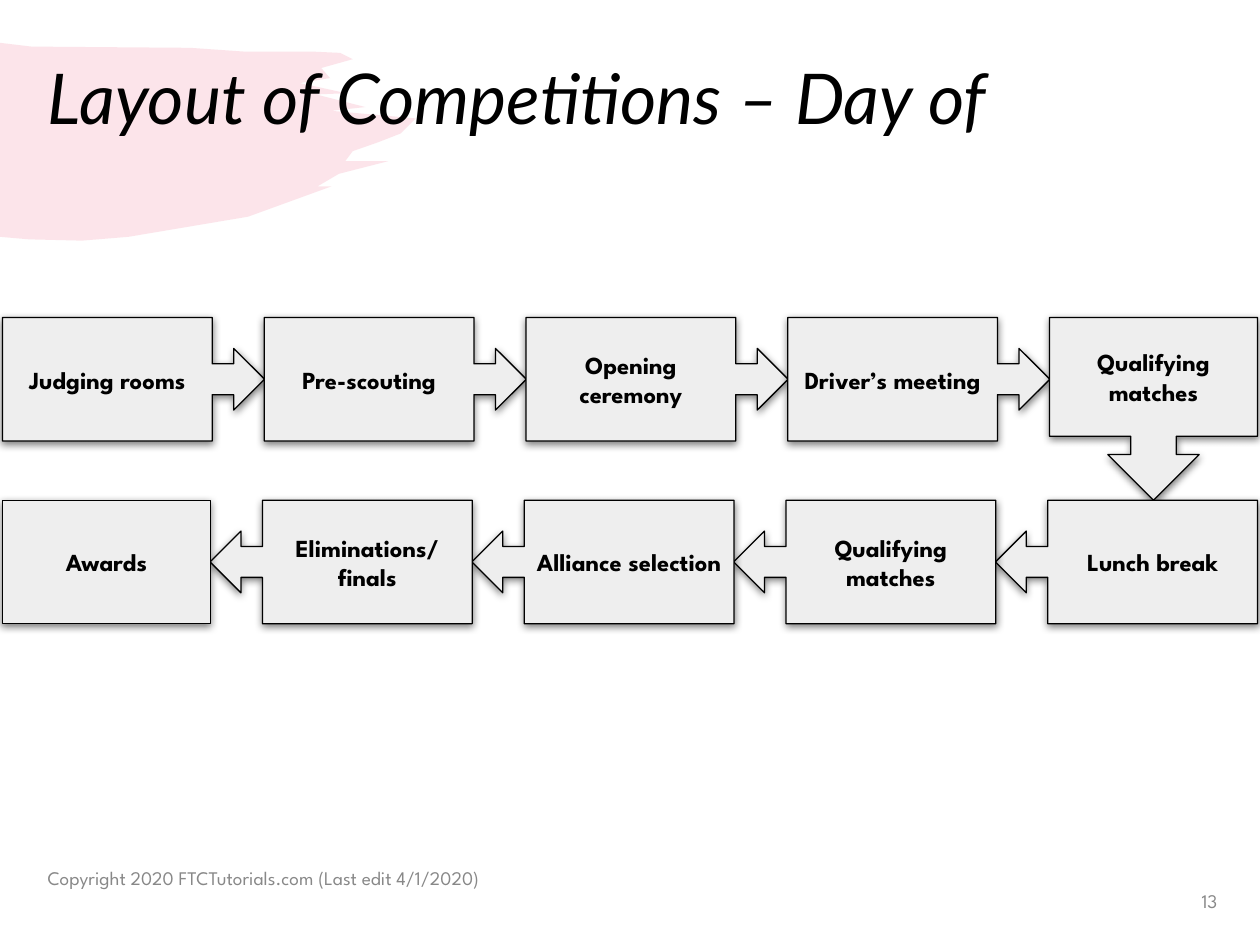
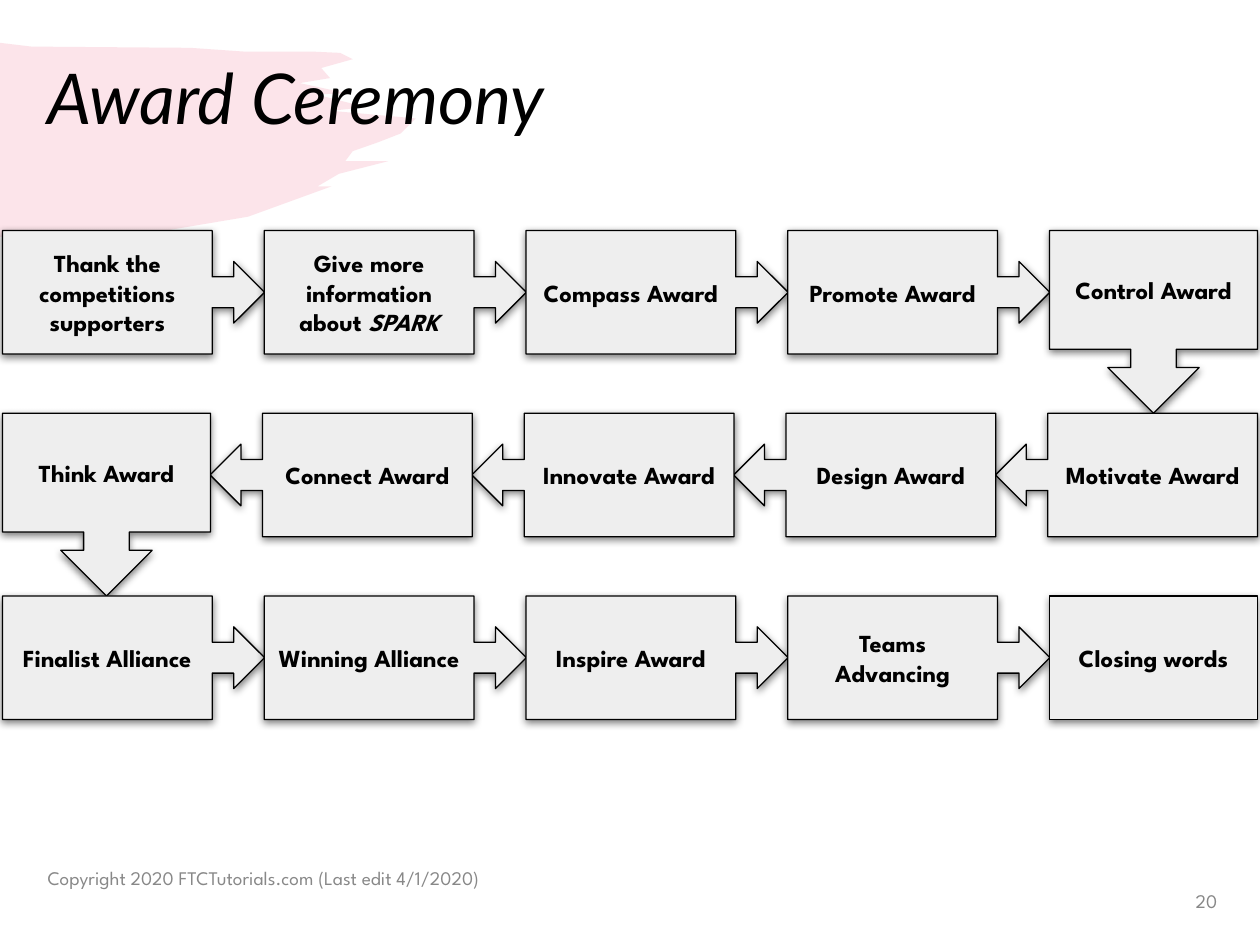
import pptx
import pptx.util
import pptx.dml.color
import pptx.enum.shapes
import pptx.enum.text
import pptx.oxml
import pptx.oxml.ns

SHAPE = pptx.enum.shapes.MSO_SHAPE
ALIGN = pptx.enum.text.PP_ALIGN

# Each step is a string, or a list of (text, italic) runs.
# Rows are listed in the order the flow visits them.
SLIDES = [
    {
        "title": "Layout of Competitions – Day of",
        "number": "13",
        "top": 252,
        "rows": [
            ["Judging rooms", "Pre-scouting", "Opening ceremony",
             "Driver’s meeting", "Qualifying matches"],
            ["Lunch break", "Qualifying matches", "Alliance selection",
             "Eliminations/finals", "Awards"],
        ],
    },
    {
        "title": "Award Ceremony",
        "number": "20",
        "top": 183,
        "rows": [
            ["Thank the competitions supporters",
             [("Give more information about ", False), ("SPARK", True)],
             "Compass Award", "Promote Award", "Control Award"],
            ["Motivate Award", "Design Award", "Innovate Award",
             "Connect Award", "Think Award"],
            ["Finalist Alliance", "Winning Alliance", "Inspire Award",
             "Teams Advancing", "Closing words"],
        ],
    },
]
COPYRIGHT = "Copyright 2020 FTCTutorials.com (Last edit 4/1/2020)"

TITLE_FONT, BODY_FONT = "Lato", "League Spartan"
BLACK, GREY, STEP_FILL, PINK = "000000", "888888", "EEEEEE", "F07C98"

PX = 9144  # EMU; 100 px to the inch
SLIDE_W, SLIDE_H = 1000, 750
MARGIN = 2
STEP_W, STEP_H = 165, 98
CALLOUT_W, ROW_PITCH = 208, 145
COLUMNS = 5
COLUMN_PITCH = (SLIDE_W - 2 * MARGIN - STEP_W) / (COLUMNS - 1)

# Brush stroke outline, clockwise from the top left
BRUSH = [
    (0, 34), (25, 37), (151, 38), (194, 41), (248, 41), (270, 42), (280, 47),
    (255, 54), (262, 62), (238, 66), (275, 74), (251, 75), (290, 85),
    (263, 88), (330, 94), (318, 106), (300, 113), (280, 120), (274, 128),
    (308, 128), (269, 138), (252, 148), (263, 148), (197, 172), (102, 188),
    (65, 191), (23, 190), (0, 188),
]


def px(length):
    return pptx.util.Emu(round(length * PX))


def color(hex_code):
    return pptx.dml.color.RGBColor.from_string(hex_code)


def add_xml(parent, tag, **attributes):
    child = parent.makeelement(pptx.oxml.ns.qn(tag), attributes)
    parent.append(child)
    return child


def style(paragraph, font, size, hex_code, align=ALIGN.LEFT, bold=False):
    paragraph.alignment = align
    for run in paragraph.runs:
        run.font.name = font
        run.font.size = pptx.util.Pt(size)
        run.font.color.rgb = color(hex_code)
        run.font.bold = bold


def add_label(slide, text, left, top, width, height):
    """Add a middle-anchored text box and return its paragraph."""
    frame = slide.shapes.add_textbox(px(left), px(top), px(width), px(height)).text_frame
    frame.word_wrap = True
    frame.vertical_anchor = pptx.enum.text.MSO_ANCHOR.MIDDLE
    frame.text = text
    return frame.paragraphs[0]


def add_brush(slide):
    start, *rest = BRUSH
    builder = slide.shapes.build_freeform(*start, scale=PX)
    builder.add_line_segments(rest, close=True)
    brush = builder.convert_to_shape()
    brush.shadow.inherit = False
    brush.line.fill.background()
    brush.fill.solid()
    brush.fill.fore_color.rgb = color(PINK)
    tint = brush._element.spPr.find(".//" + pptx.oxml.ns.qn("a:srgbClr"))
    add_xml(tint, "a:alpha", val="20000")


def add_frame(slide, title, number):
    """Add what every slide shares: brush, title and footer."""
    add_brush(slide)
    heading = add_label(slide, title, 28, 40, 947, 81)
    heading.line_spacing = 0.9
    style(heading, TITLE_FONT, 40, BLACK)
    heading.runs[0].font.italic = True
    style(add_label(slide, COPYRIGHT, 28, 677, 450, 40), BODY_FONT, 11, GREY)
    style(add_label(slide, number, 919, 695, 57, 40), BODY_FONT, 11, GREY, ALIGN.RIGHT)


def drop_shadow(shape):
    shape.shadow.inherit = False
    effects = shape._element.spPr.find(pptx.oxml.ns.qn("a:effectLst"))
    shadow = add_xml(effects, "a:outerShdw", blurRad="57150", dist="19050",
                     dir="5400000", algn="bl", rotWithShape="0")
    add_xml(add_xml(shadow, "a:srgbClr", val=BLACK), "a:alpha", val="50000")


def add_step(slide, content, kind, left, top, width, height, box_share=None):
    """Add one step; box_share is the part of a callout that is not arrow."""
    step = slide.shapes.add_shape(kind, px(left), px(top), px(width), px(height))
    if box_share:
        for i, value in enumerate((0.25, 0.25, 0.25, box_share)):
            step.adjustments[i] = value
    step.fill.solid()
    step.fill.fore_color.rgb = color(STEP_FILL)
    step.line.color.rgb = color(BLACK)
    step.line.width = pptx.util.Pt(0.75)
    drop_shadow(step)
    frame = step.text_frame
    frame.word_wrap = True
    frame.vertical_anchor = pptx.enum.text.MSO_ANCHOR.MIDDLE
    frame.margin_left = frame.margin_right = px(10)
    frame.margin_top = frame.margin_bottom = px(10)
    paragraph = frame.paragraphs[0]
    for text, italic in [(content, False)] if isinstance(content, str) else content:
        run = paragraph.add_run()
        run.text = text
        run.font.italic = italic
    style(paragraph, BODY_FONT, 14, BLACK, ALIGN.CENTER, bold=True)


def add_flow(slide, rows, flow_top):
    """Lay the steps out as a snake, every second row running right to left."""
    for row, steps in enumerate(rows):
        top = flow_top + row * ROW_PITCH
        backward = row % 2 == 1
        for position, content in enumerate(steps):
            column = COLUMNS - 1 - position if backward else position
            left = MARGIN + column * COLUMN_PITCH
            if position < COLUMNS - 1:
                kind = SHAPE.LEFT_ARROW_CALLOUT if backward else SHAPE.RIGHT_ARROW_CALLOUT
                if backward:
                    left -= CALLOUT_W - STEP_W
                add_step(slide, content, kind, left, top, CALLOUT_W, STEP_H, 0.8)
            elif row < len(rows) - 1:
                add_step(slide, content, SHAPE.DOWN_ARROW_CALLOUT,
                         left, top, STEP_W, ROW_PITCH, 0.65)
            else:
                add_step(slide, content, SHAPE.RECTANGLE, left, top, STEP_W, STEP_H)


def main():
    deck = pptx.Presentation()
    deck.slide_width, deck.slide_height = px(SLIDE_W), px(SLIDE_H)
    for page in SLIDES:
        slide = deck.slides.add_slide(deck.slide_layouts[6])
        add_frame(slide, page["title"], page["number"])
        add_flow(slide, page["rows"], page["top"])
    deck.save("out.pptx")


if __name__ == "__main__":
    main()
